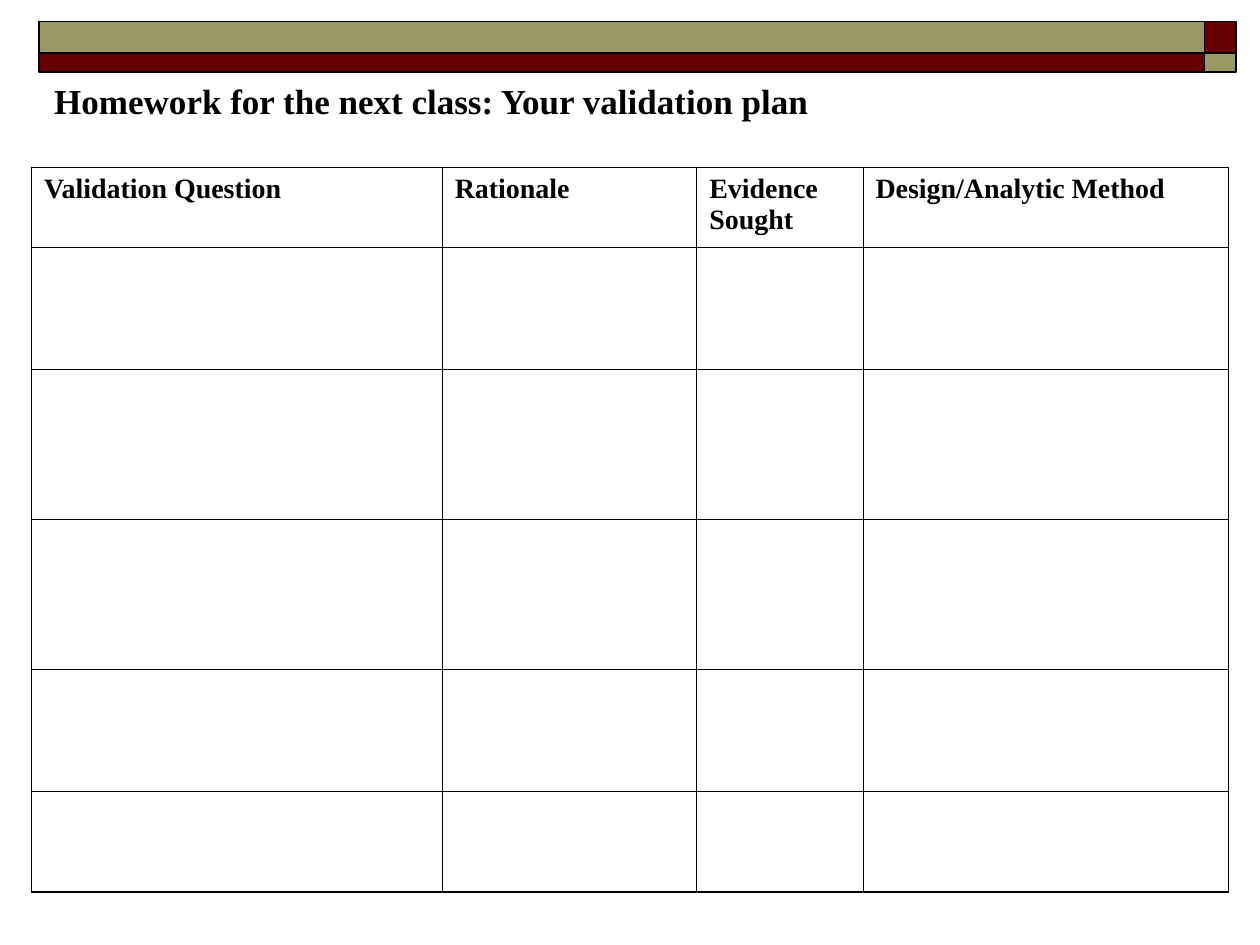
from lxml import etree
from pptx import Presentation
from pptx.dml.color import RGBColor
from pptx.enum.shapes import MSO_SHAPE
from pptx.enum.text import MSO_ANCHOR, MSO_AUTO_SIZE, PP_ALIGN
from pptx.oxml.ns import qn
from pptx.util import Inches, Pt

RECT = MSO_SHAPE.RECTANGLE
TOP = MSO_ANCHOR.TOP
LEFT = PP_ALIGN.LEFT
COLORS = {"olive": "999966", "maroon": "660000", "ink": "000000", "paper": "FFFFFF"}
FONT = "Times New Roman"
THIN, THICK = 0.45, 1.08


def style_text(tf, size, space_before):
    """Format the first paragraph as bold, left-aligned text."""
    p = tf.paragraphs[0]
    p.alignment = LEFT
    p.space_before = Pt(space_before)
    font = p.runs[0].font
    font.name, font.size, font.bold = FONT, Pt(size), True
    font.color.rgb = RGBColor.from_string(COLORS["ink"])


def add_border(cell, side, width):
    """Draw one side (L, R, T or B) of a cell border."""
    ln = etree.SubElement(cell._tc.get_or_add_tcPr(), qn(f"a:ln{side}"), w=str(Pt(width)))
    fill = etree.SubElement(ln, qn("a:solidFill"))
    etree.SubElement(fill, qn("a:srgbClr"), val=COLORS["ink"])


prs = Presentation()
prs.slide_width, prs.slide_height = Inches(10), Inches(7.5)
s = prs.slides.add_slide(prs.slide_layouts[5])

# Two-row banner with the colours swapped in the right-hand column
banner_cols = [(0.31, 9.25), (9.56, 0.25)]
banner_rows = [(0.17, 0.25), (0.42, 0.15)]
for i, (top, height) in enumerate(banner_rows):
    for j, (left, width) in enumerate(banner_cols):
        sp = s.shapes.add_shape(RECT, Inches(left), Inches(top), Inches(width), Inches(height))
        sp.shadow.inherit = False
        sp.fill.solid()
        sp.fill.fore_color.rgb = RGBColor.from_string(COLORS[("olive", "maroon")[(i + j) % 2]])
        sp.line.color.rgb = RGBColor.from_string(COLORS["ink"])
        sp.line.width = Pt(1)

# Title
title = s.shapes.title
title.left, title.top = Inches(0.33), Inches(0.58)
title.width, title.height = Inches(9.5), Inches(0.44)
tf = title.text_frame
tf.text = "Homework for the next class: Your validation plan"
tf.word_wrap = True
tf.auto_size = MSO_AUTO_SIZE.NONE
tf.vertical_anchor = TOP
style_text(tf, 20, 12.5)

# Validation plan table
headers = ["Validation Question", "Rationale", "Evidence Sought", "Design/Analytic Method"]
col_widths = [3.26, 2.02, 1.32, 2.9]
row_heights = [0.63, 0.97, 1.19, 1.19, 0.97, 0.8]
last_row, last_col = len(row_heights) - 1, len(col_widths) - 1
table = s.shapes.add_table(len(row_heights), len(col_widths), Inches(0.25), Inches(1.33),
                           Inches(sum(col_widths)), Inches(sum(row_heights))).table
table.first_row = table.horz_banding = False
for col, width in zip(table.columns, col_widths):
    col.width = Inches(width)
for i, height in enumerate(row_heights):
    table.rows[i].height = Inches(height)
    for j in range(len(col_widths)):
        cell = table.cell(i, j)
        outer = {"L": j == 0, "R": j == last_col, "T": i == 0, "B": i == last_row}
        for side, is_outer in outer.items():
            add_border(cell, side, THICK if is_outer else THIN)
        cell.fill.solid()
        cell.fill.fore_color.rgb = RGBColor.from_string(COLORS["paper"])
for j, header in enumerate(headers):
    tf = table.cell(0, j).text_frame
    tf.text = header
    style_text(tf, 16, 4)

prs.save("out.pptx")
